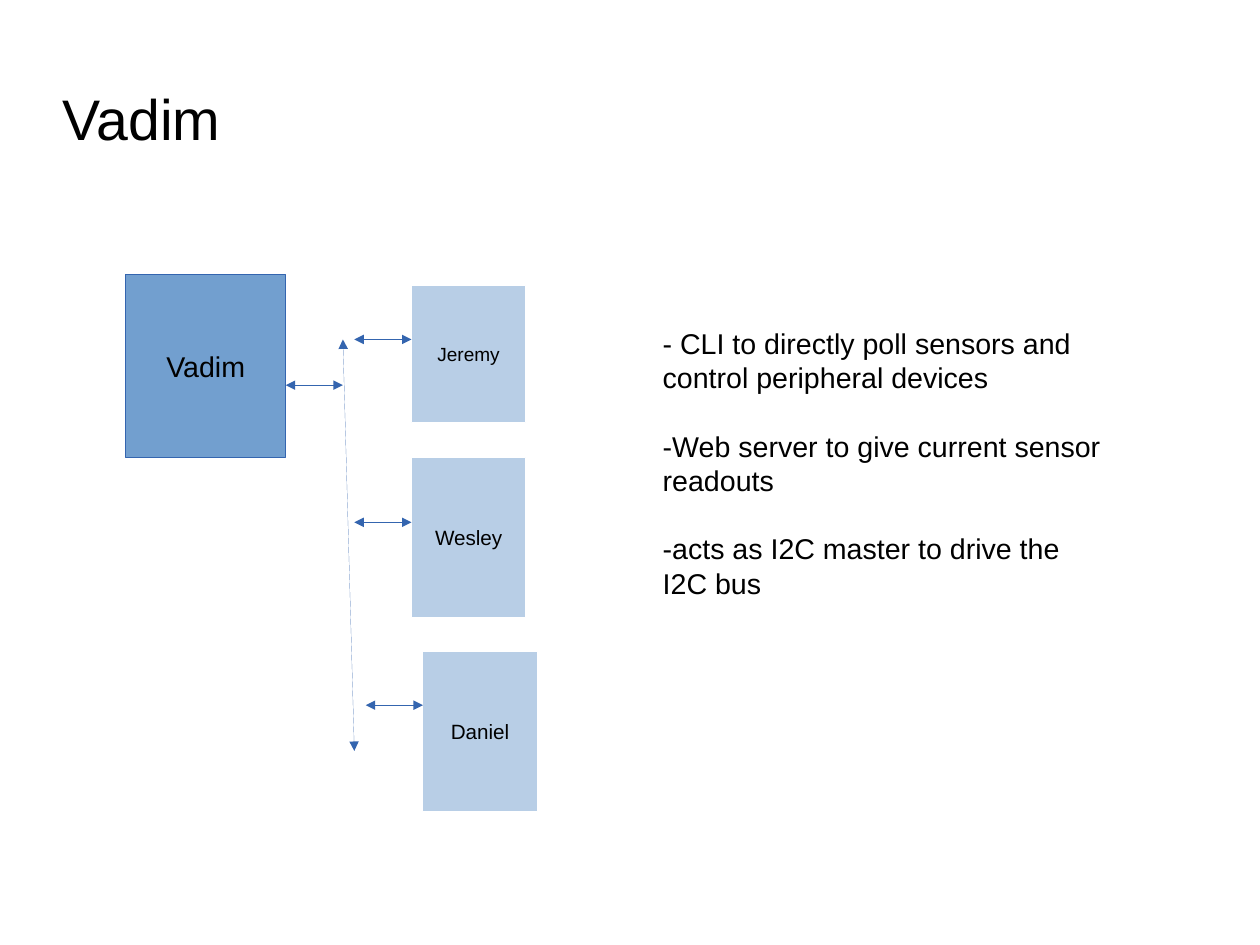
"""Build a slide of one bus master linked to three peripheral owners."""
from dataclasses import dataclass

from lxml.etree import SubElement
from pptx import Presentation
from pptx.dml.color import RGBColor
from pptx.enum.shapes import MSO_CONNECTOR, MSO_SHAPE
from pptx.enum.text import MSO_ANCHOR, MSO_AUTO_SIZE, PP_ALIGN
from pptx.oxml.ns import qn
from pptx.util import Cm, Emu, Inches, Pt

COLORS = {"box": "729FCF", "line": "3465AF", "white": "FFFFFF", "text": "000000"}
GRID = 0.1
FIRST_STUB_ROW = 29.7
STUB_STEP = 16
STUB_LENGTH = 5
TITLE_LAYOUT = 5


@dataclass(frozen=True)
class Box:
    name: str
    column: float
    row: float
    width: float
    height: float
    size: float
    outline: str = "white"
    opacity: int = 50


@dataclass(frozen=True)
class Arrow:
    start: tuple[float, float]
    end: tuple[float, float]


MASTER = Box("Vadim", 11, 24, 14, 16, 18, outline="line", opacity=100)
PERIPHERALS = [
    Box("Jeremy", 36, 25, 10, 12, 12),
    Box("Wesley", 36, 40, 10, 14, 13),
    Box("Daniel", 37, 57, 10, 14, 13),
]
BUS = Arrow((30, FIRST_STUB_ROW), (31, 65.7))
MASTER_STUB = Arrow((25, 33.7), (30, 33.7))
DUTIES = [
    "- CLI to directly poll sensors and control peripheral devices",
    "-Web server to give current sensor readouts",
    "-acts as I2C master to drive the I2C bus",
]


def cells(count: float) -> Emu:
    """Turn a count of grid cells into a length."""
    return Inches(count * GRID)


def color(name: str) -> RGBColor:
    """Look up a colour by its role."""
    return RGBColor.from_string(COLORS[name])


def write(paragraph, text: str, *, size: float, align=PP_ALIGN.LEFT, before: float = 0) -> None:
    """Put formatted text in a paragraph."""
    paragraph.alignment = align
    paragraph.space_before = Pt(before)
    run = paragraph.add_run()
    run.text = text
    run.font.name = "Arial"
    run.font.size = Pt(size)
    run.font.color.rgb = color("text")


def add_title(slide, text: str) -> None:
    """Place and format the title placeholder."""
    title = slide.shapes.title
    title.left, title.top = cells(5.5), cells(6.3)
    title.width, title.height = cells(78.7), cells(7.9)
    frame = title.text_frame
    frame.margin_left = frame.margin_right = frame.margin_top = frame.margin_bottom = 0
    frame.vertical_anchor = MSO_ANCHOR.MIDDLE
    frame.auto_size = MSO_AUTO_SIZE.SHAPE_TO_FIT_TEXT
    write(frame.paragraphs[0], text, size=36)


def add_box(slide, box: Box) -> None:
    """Draw a labelled rectangle."""
    shape = slide.shapes.add_shape(
        MSO_SHAPE.RECTANGLE, cells(box.column), cells(box.row), cells(box.width), cells(box.height)
    )
    shape.shadow.inherit = False
    shape.fill.solid()
    shape.fill.fore_color.rgb = color("box")
    if box.opacity < 100:
        fill_color = shape.fill._xPr.find(qn("a:solidFill"))[0]
        SubElement(fill_color, qn("a:alpha")).set("val", str(box.opacity * 1000))
    shape.line.color.rgb = color(box.outline)
    shape.line.width = Pt(0)
    frame = shape.text_frame
    frame.word_wrap = False
    frame.vertical_anchor = MSO_ANCHOR.MIDDLE
    write(frame.paragraphs[0], box.name, size=box.size, align=PP_ALIGN.CENTER)


def add_arrow(slide, arrow: Arrow) -> None:
    """Draw a hairline with a triangle at both ends."""
    points = [cells(count) for count in (*arrow.start, *arrow.end)]
    connector = slide.shapes.add_connector(MSO_CONNECTOR.STRAIGHT, *points)
    connector._element.remove(connector._element.find(qn("p:style")))
    connector.line.color.rgb = color("line")
    connector.line.width = Pt(0)
    line = connector.line._get_or_add_ln()
    line.set("w", "0")
    for end in ("a:headEnd", "a:tailEnd"):
        SubElement(line, qn(end)).set("type", "triangle")
    SubElement(connector._element.spPr, qn("a:effectLst"))


def add_duties(slide, duties: list[str]) -> None:
    """Write the duties, one paragraph each, a line apart."""
    text_box = slide.shapes.add_textbox(cells(57), cells(28), cells(41), cells(23.4))
    frame = text_box.text_frame
    frame.word_wrap = True
    frame.auto_size = MSO_AUTO_SIZE.SHAPE_TO_FIT_TEXT
    for index, duty in enumerate(duties):
        paragraph = frame.add_paragraph() if index else frame.paragraphs[0]
        write(paragraph, duty, size=18, before=21.6 if index else 0)


def main() -> None:
    """Build and save the presentation."""
    presentation = Presentation()
    presentation.slide_width, presentation.slide_height = Cm(28), Cm(21)
    slide = presentation.slides.add_slide(presentation.slide_layouts[TITLE_LAYOUT])
    add_title(slide, MASTER.name)
    for box in [MASTER, *PERIPHERALS]:
        add_box(slide, box)
    stubs = []
    for index, box in enumerate(PERIPHERALS):
        row = FIRST_STUB_ROW + index * STUB_STEP
        stubs.append(Arrow((box.column - STUB_LENGTH, row), (box.column, row)))
    for arrow in [BUS, MASTER_STUB, *stubs]:
        add_arrow(slide, arrow)
    add_duties(slide, DUTIES)
    presentation.save("out.pptx")


if __name__ == "__main__":
    main()
